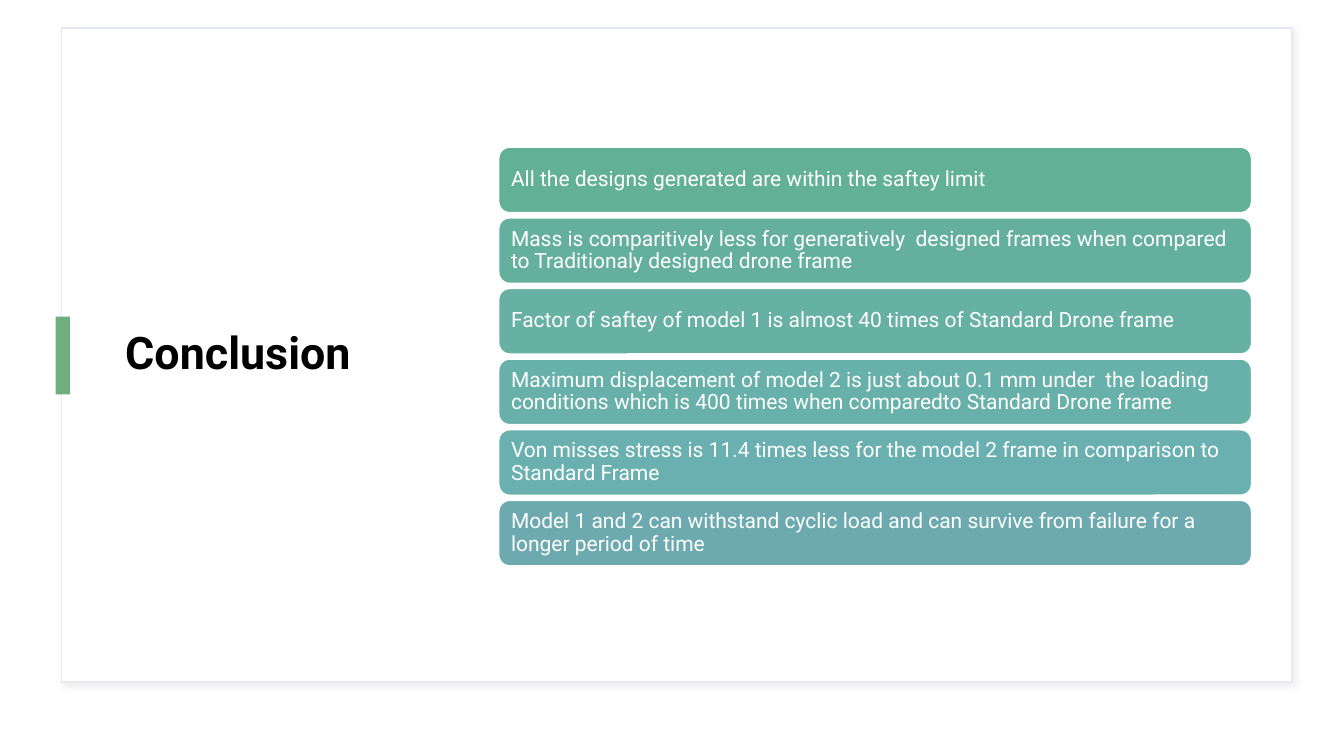
from lxml import etree
from pptx import Presentation
from pptx.dml.color import RGBColor
from pptx.enum.shapes import MSO_SHAPE
from pptx.enum.text import MSO_ANCHOR, MSO_AUTO_SIZE, PP_ALIGN
from pptx.oxml import parse_xml
from pptx.oxml.ns import nsdecls
from pptx.util import Cm, Pt

RECTANGLE = MSO_SHAPE.RECTANGLE
ROUNDED = MSO_SHAPE.ROUNDED_RECTANGLE
MIDDLE = MSO_ANCHOR.MIDDLE
LEFT = PP_ALIGN.LEFT
NO_AUTOFIT = MSO_AUTO_SIZE.NONE

HEADING = "Conclusion"
FINDINGS = [
    ("All the designs generated are within the saftey limit", "62B096"),
    ("Mass is comparitively less for generatively  designed frames when compared to Traditionaly designed drone frame", "64B09D"),
    ("Factor of saftey of model 1 is almost 40 times of Standard Drone frame", "66B0A4"),
    ("Maximum displacement of model 2 is just about 0.1 mm under  the loading conditions which is 400 times when comparedto Standard Drone frame", "68B0AA"),
    ("Von misses stress is 11.4 times less for the model 2 frame in comparison to Standard Frame", "6AB0B0"),
    ("Model 1 and 2 can withstand cyclic load and can survive from failure for a longer period of time", "6CAAB0"),
]
COLORS = {"white": "FFFFFF", "black": "000000", "border": "E5EBF0",
          "shadow": "CABCC7", "accent": "6DAF7D"}
FONT = "Roboto"

CARD_LEFT, CARD_TOP = 12.57, 3.71
CARD_WIDTH, CARD_HEIGHT = 18.97, 1.65
CARD_PITCH = 1.78
CARD_INSET = Cm(0.23)


def rgb(value):
    return RGBColor.from_string(value)


def add_box(slide, kind, box, fill, line=None):
    shape = slide.shapes.add_shape(kind, *map(Cm, box))
    shape.shadow.inherit = False
    shape.fill.solid()
    shape.fill.fore_color.rgb = rgb(fill)
    if line:
        shape.line.color.rgb = rgb(line)
        shape.line.width = Pt(1)
    else:
        shape.line.fill.background()
    return shape


def write(frame, text, size, color, bold=False):
    frame.text = text
    frame.word_wrap = True
    frame.auto_size = NO_AUTOFIT
    frame.vertical_anchor = MIDDLE
    paragraph = frame.paragraphs[0]
    paragraph.alignment = LEFT
    paragraph.line_spacing = 0.9
    font = paragraph.runs[0].font
    font.name, font.size, font.bold = FONT, Pt(size), bold
    font.color.rgb = rgb(color)


def add_shadow(shape):
    effects = shape._element.spPr.find("{*}effectLst")
    shadow = parse_xml(
        f'<a:outerShdw {nsdecls("a")} blurRad="{Pt(4)}" dist="{Pt(3)}" '
        'dir="2700000" algn="tl" rotWithShape="0"/>')
    color = etree.SubElement(shadow, shadow.tag.replace("outerShdw", "srgbClr"),
                             val=COLORS["shadow"])
    etree.SubElement(color, shadow.tag.replace("outerShdw", "alpha"), val="30000")
    effects.append(shadow)


def main():
    deck = Presentation()
    deck.slide_width, deck.slide_height = Cm(33.87), Cm(19.05)
    slide = deck.slides.add_slide(deck.slide_layouts[5])

    panel = add_box(slide, RECTANGLE, (1.55, 0.71, 31.01, 16.48),
                    COLORS["white"], COLORS["border"])
    add_shadow(panel)
    slide.shapes._spTree.insert(2, panel._element)

    heading = slide.shapes.title
    heading.left, heading.top, heading.width, heading.height = map(
        Cm, (2.9, 1.4, 8.31, 15.11))
    write(heading.text_frame, HEADING, 32, COLORS["black"], True)

    add_box(slide, RECTANGLE, (1.4, 7.98, 0.36, 1.96), COLORS["accent"])

    for row, (finding, fill) in enumerate(FINDINGS):
        box = (CARD_LEFT, CARD_TOP + row * CARD_PITCH, CARD_WIDTH, CARD_HEIGHT)
        card = add_box(slide, ROUNDED, box, fill, COLORS["white"])
        frame = card.text_frame
        frame.margin_left = frame.margin_right = CARD_INSET
        frame.margin_top = frame.margin_bottom = CARD_INSET
        write(frame, finding, 15, COLORS["white"])

    deck.save("out.pptx")


if __name__ == "__main__":
    main()
